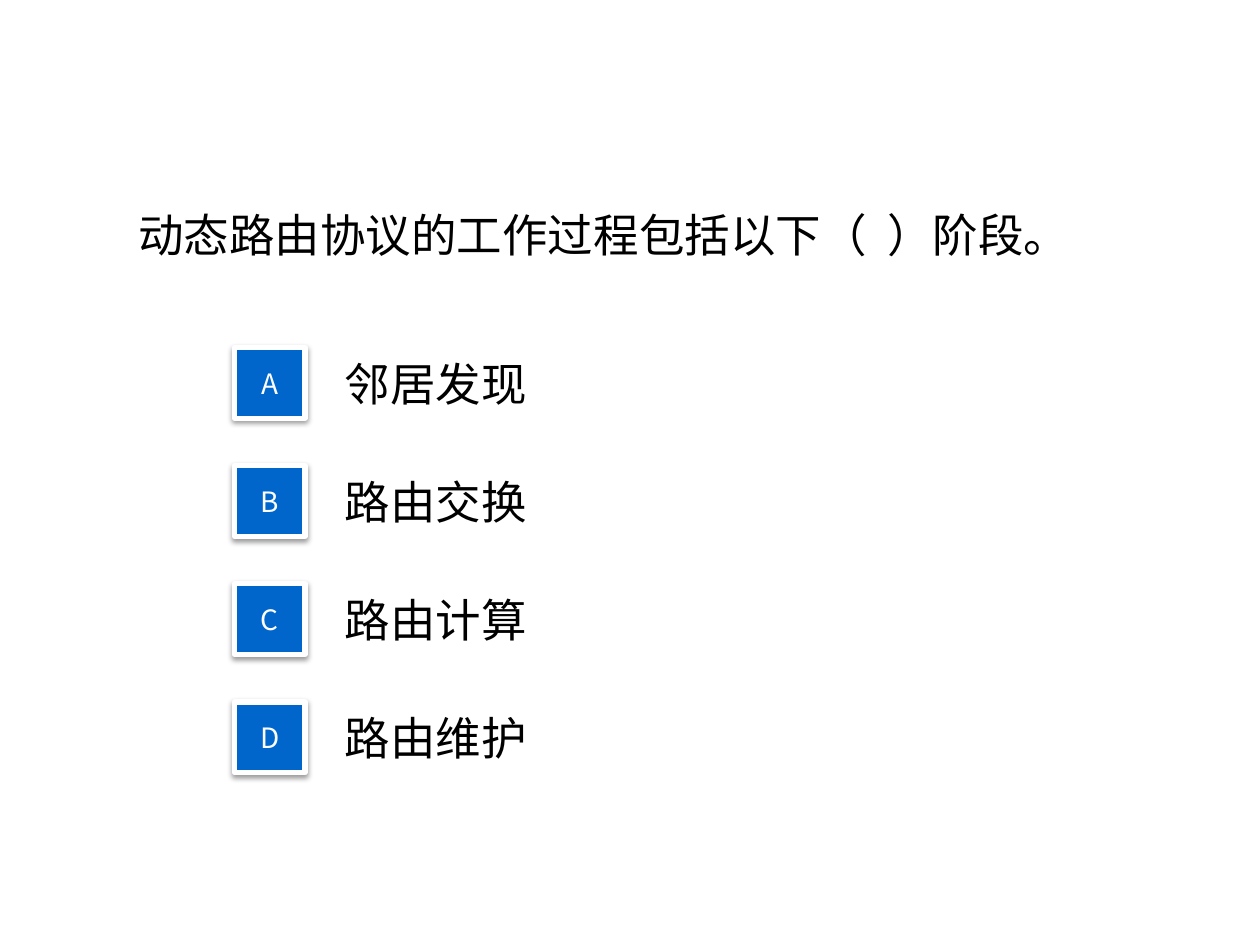
from dataclasses import dataclass

from lxml import etree
from pptx import Presentation
from pptx.dml.color import RGBColor
from pptx.enum.shapes import MSO_SHAPE
from pptx.enum.text import MSO_ANCHOR, PP_ALIGN
from pptx.oxml.ns import qn
from pptx.shapes.autoshape import Shape
from pptx.slide import Slide
from pptx.util import Pt

RECTANGLE = MSO_SHAPE.RECTANGLE
MIDDLE = MSO_ANCHOR.MIDDLE
LEFT = PP_ALIGN.LEFT
CENTER = PP_ALIGN.CENTER

FONT = "Noto Sans CJK SC"
COLORS = {"ink": "000000", "badge": "0066CC", "white": "FFFFFF"}

FIRST_ANSWER_TOP = 193.6
ANSWER_PITCH = 67.5
ANSWER_LEFT = 190
ANSWER_WIDTH = 504
ANSWER_HEIGHT = 50.4
BADGE_LEFT = 134
BADGE_SIZE = 40.4


@dataclass
class Answer:
    letter: str
    wording: str


ANSWERS = [
    Answer("A", "邻居发现"),
    Answer("B", "路由交换"),
    Answer("C", "路由计算"),
    Answer("D", "路由维护"),
]


def write(shape: Shape, wording: str, size: float, color: str, align: PP_ALIGN) -> None:
    frame = shape.text_frame
    frame.word_wrap = True
    frame.vertical_anchor = MIDDLE
    paragraph = frame.paragraphs[0]
    paragraph.alignment = align
    run = paragraph.add_run()
    run.text = wording
    run.font.size = Pt(size)
    run.font.name = FONT
    run.font.color.rgb = RGBColor.from_string(COLORS[color])
    etree.SubElement(run.font._element, qn("a:ea"), typeface=FONT)


def add_wording(slide: Slide, wording: str, left: float, top: float,
                width: float, height: float) -> None:
    box = slide.shapes.add_textbox(Pt(left), Pt(top), Pt(width), Pt(height))
    write(box, wording, 26, "ink", LEFT)


def add_badge_shadow(badge: Shape) -> None:
    badge.shadow.inherit = False
    effects = badge._element.spPr.find(qn("a:effectLst"))
    shadow = etree.SubElement(
        effects, qn("a:outerShdw"), blurRad=str(Pt(3.1)), dist=str(Pt(1.6)),
        dir="5400000", rotWithShape="0")
    tint = etree.SubElement(shadow, qn("a:srgbClr"), val=COLORS["ink"])
    etree.SubElement(tint, qn("a:alpha"), val="38000")


def add_badge(slide: Slide, letter: str, top: float) -> None:
    badge = slide.shapes.add_shape(
        RECTANGLE, Pt(BADGE_LEFT), Pt(top), Pt(BADGE_SIZE), Pt(BADGE_SIZE))
    badge.fill.solid()
    badge.fill.fore_color.rgb = RGBColor.from_string(COLORS["badge"])
    badge.line.color.rgb = RGBColor.from_string(COLORS["white"])
    badge.line.width = Pt(3)
    add_badge_shadow(badge)
    write(badge, letter, 16, "white", CENTER)


def main() -> None:
    deck = Presentation()
    deck.slide_width = Pt(720)
    deck.slide_height = Pt(540)
    slide = deck.slides.add_slide(deck.slide_layouts[6])

    add_wording(slide, "动态路由协议的工作过程包括以下（  ）阶段。", 72, 49.5, 576, 168.5)
    answer_tops = [FIRST_ANSWER_TOP + row * ANSWER_PITCH for row in range(len(ANSWERS))]
    for answer, top in zip(ANSWERS, answer_tops):
        add_wording(slide, answer.wording, ANSWER_LEFT, top, ANSWER_WIDTH, ANSWER_HEIGHT)
    for answer, top in zip(ANSWERS, answer_tops):
        add_badge(slide, answer.letter, top + (ANSWER_HEIGHT - BADGE_SIZE) / 2)

    deck.save("out.pptx")


if __name__ == "__main__":
    main()
